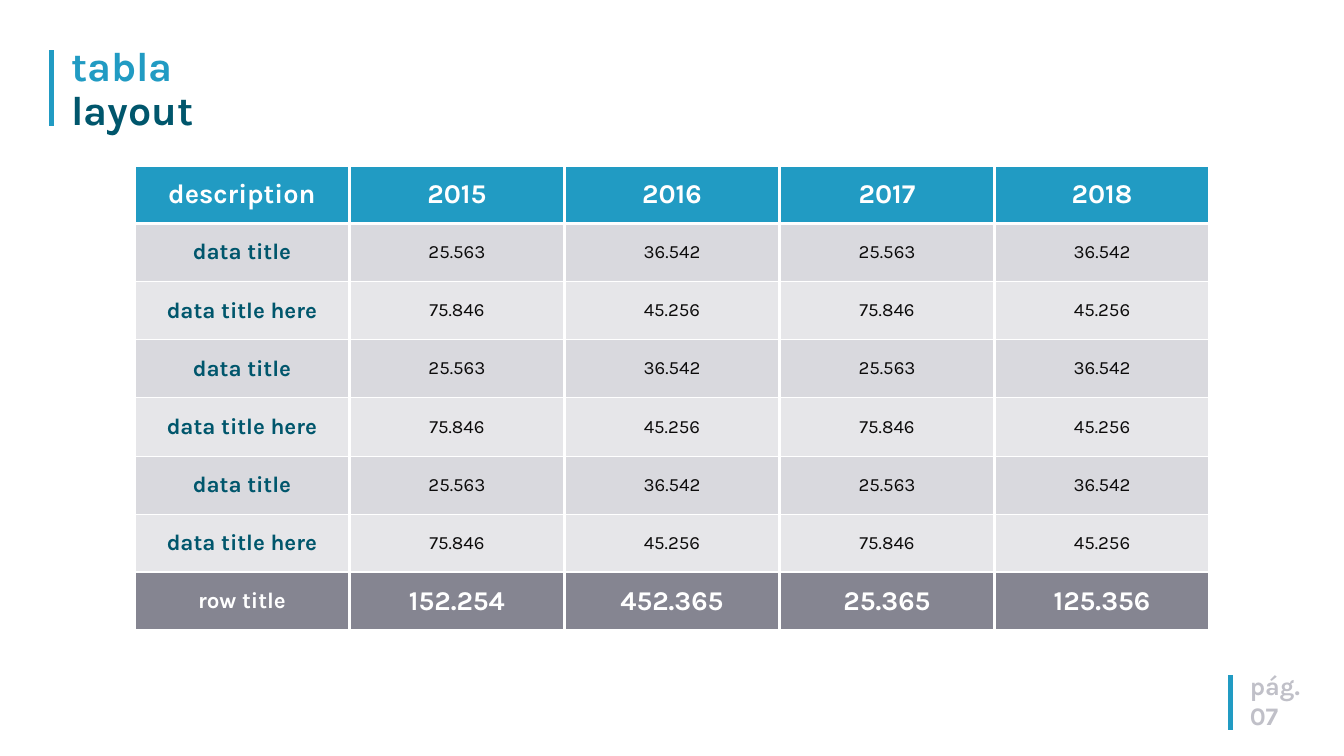
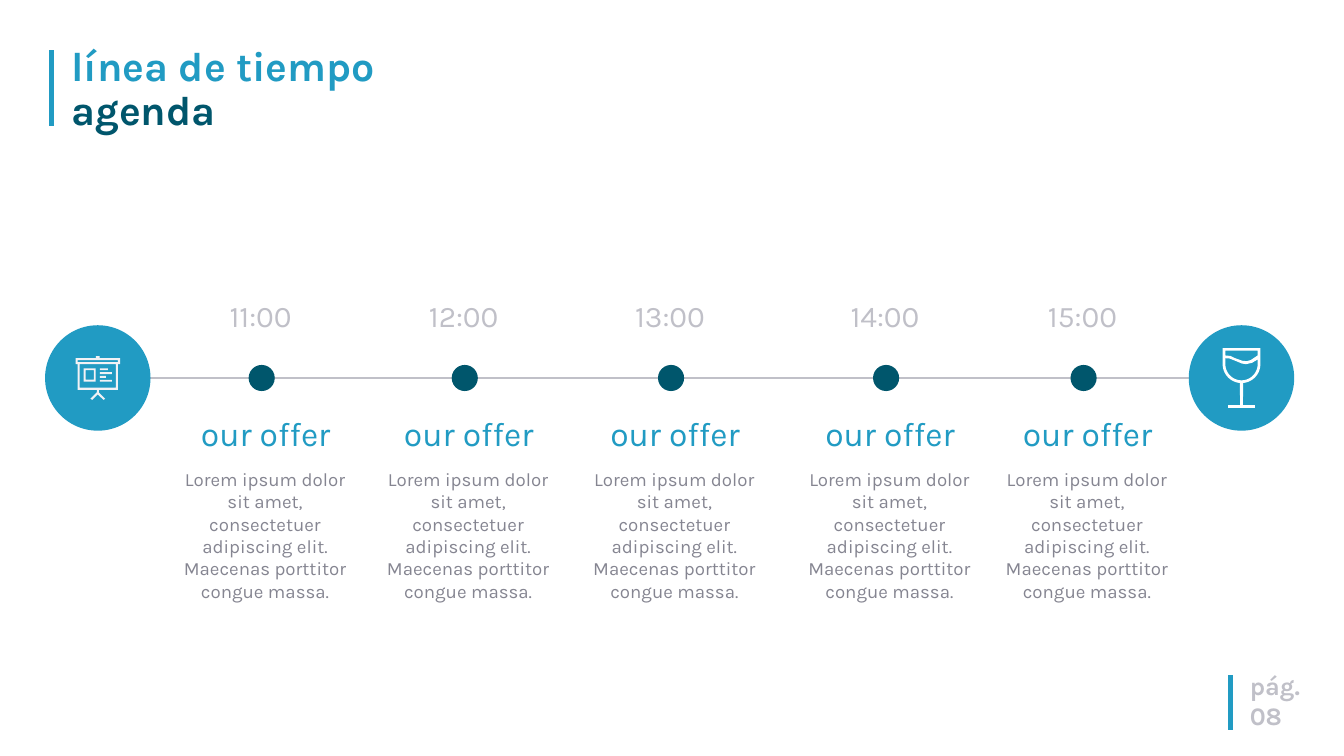
import math
from dataclasses import dataclass

import pptx
import pptx.dml.color
import pptx.enum.shapes
import pptx.enum.text
import pptx.oxml
import pptx.oxml.ns
import pptx.util

Pt = pptx.util.Pt
Color = pptx.dml.color.RGBColor.from_string
ALIGN = pptx.enum.text.PP_ALIGN
ANCHOR = pptx.enum.text.MSO_ANCHOR
OVAL = pptx.enum.shapes.MSO_SHAPE.OVAL
STRAIGHT = pptx.enum.shapes.MSO_CONNECTOR.STRAIGHT
NAMESPACE = pptx.oxml.ns.nsdecls("a")


@dataclass(frozen=True)
class Theme:
    font: str = "Karla"
    blue: str = "219BC3"
    navy: str = "00566C"
    silver: str = "C0C0C8"
    gray: str = "858591"
    band_dark: str = "D9D9DE"
    band_light: str = "E6E6E9"
    ink: str = "0C0B0B"
    white: str = "FFFFFF"
    pale: str = "F2F2F5"
    title: int = 44
    offer: int = 36
    hour: int = 32
    total: int = 29
    page: int = 27
    label: int = 24
    body: int = 20


theme = Theme()


def write(para, text, size, color, bold=False):
    span = para.add_run()
    span.text = text
    span.font.name = theme.font
    span.font.size = Pt(size)
    span.font.bold = bold
    span.font.color.rgb = Color(color)


def draw_icon(page, center_x, center_y, contours, color):
    """Blue disc with a glyph whose contours are measured from its centre."""
    radius = 56.5
    group = page.shapes.add_group_shape()
    disc = group.shapes.add_shape(OVAL, Pt(center_x - radius), Pt(center_y - radius),
                                  Pt(2 * radius), Pt(2 * radius))
    outlines = [[(Pt(center_x + x), Pt(center_y + y)) for x, y in contour]
                for contour in contours]
    builder = group.shapes.build_freeform(*outlines[0][0])
    builder.add_line_segments(outlines[0][1:])
    for outline in outlines[1:]:
        builder.move_to(*outline[0])
        builder.add_line_segments(outline[1:])
    glyph = builder.convert_to_shape()
    for shape, fill in ((disc, theme.blue), (glyph, color)):
        shape.shadow.inherit = False
        shape.fill.solid()
        shape.fill.fore_color.rgb = Color(fill)
        shape.line.fill.background()


deck = pptx.Presentation()
deck.slide_width, deck.slide_height = Pt(1440), Pt(810)

# Shared frame: accent bars, title and page number
headings = [("tabla", "layout", "07"), ("línea de tiempo", "agenda", "08")]
timeline_y = 405
for first_line, second_line, number in headings:
    page = deck.slides.add_slide(deck.slide_layouts[6])
    lines = [(1318.3, 723.6, 1318.3, 782, theme.blue, 5),
             (55.4, 54, 55.4, 135.4, theme.blue, 5)]
    if number == "08":
        lines.append((1308.2, timeline_y, 112.3, timeline_y, theme.silver, 2))
    for x1, y1, x2, y2, color, width in lines:
        bar = page.shapes.add_connector(STRAIGHT, Pt(x1), Pt(y1), Pt(x2), Pt(y2))
        bar.line.color.rgb = Color(color)
        bar.line.width = Pt(width)
        bar._element.spPr.append(pptx.oxml.parse_xml(f"<a:effectLst {NAMESPACE}/>"))

    box = page.shapes.add_textbox(Pt(69.1), Pt(44.6), Pt(429), Pt(104.4))
    box.text_frame.word_wrap = True
    box.text_frame.vertical_anchor = ANCHOR.MIDDLE
    para = box.text_frame.paragraphs[0]
    para.line_spacing = 0.9
    write(para, first_line, theme.title, theme.blue, True)
    para.add_line_break()
    write(para, second_line, theme.title, theme.navy, True)

    box = page.shapes.add_textbox(Pt(1332), Pt(714.2), Pt(136.8), Pt(72.7))
    box.text_frame.word_wrap = True
    write(box.text_frame.paragraphs[0], "pág.", theme.page, theme.silver, True)
    write(box.text_frame.add_paragraph(), number, theme.page, theme.silver, True)

table_page, timeline_page = deck.slides

# Table
odd_row = ["data title", "25.563", "36.542", "25.563", "36.542"]
even_row = ["data title here", "75.846", "45.256", "75.846", "45.256"]
rows = [["description", "2015", "2016", "2017", "2018"],
        *[odd_row, even_row] * 3,
        ["row title", "152.254", "452.365", "25.365", "125.356"]]
row_height, column_width = 62.28, 230.4
last = len(rows) - 1
frame = table_page.shapes.add_table(len(rows), 5, Pt(144), Pt(177.1),
                                    Pt(5 * column_width), Pt(len(rows) * row_height))
table = frame.table
table.first_row = table.horz_banding = False
for column in table.columns:
    column.width = Pt(column_width)
for r, values in enumerate(rows):
    table.rows[r].height = Pt(row_height)
    for c, value in enumerate(values):
        if r == 0:
            fill, size, color, bold = theme.blue, theme.total, theme.white, True
        elif r == last:
            fill, color, bold = theme.gray, theme.white, True
            size = theme.total if c else theme.label
        else:
            fill = theme.band_dark if r % 2 else theme.band_light
            size, color, bold = ((theme.body, theme.ink, False) if c
                                 else (theme.label, theme.navy, True))
        cell = table.cell(r, c)
        # Thin rules between data rows, thick ones elsewhere
        top = 1 if 1 < r < last else 3
        bottom = 1 if 0 < r < last - 1 else 3
        properties = cell._tc.get_or_add_tcPr()
        for tag, width in (("lnL", 3), ("lnR", 3), ("lnT", top), ("lnB", bottom)):
            properties.append(pptx.oxml.parse_xml(
                f'<a:{tag} {NAMESPACE} w="{Pt(width)}"><a:solidFill>'
                f'<a:srgbClr val="{theme.white}"/></a:solidFill></a:{tag}>'))
        cell.fill.solid()
        cell.fill.fore_color.rgb = Color(fill)
        cell.vertical_anchor = ANCHOR.MIDDLE
        para = cell.text_frame.paragraphs[0]
        para.alignment = ALIGN.CENTER
        write(para, value, size, color, bold)

# Presentation board icon: right half mirrored, then holes and text bars
board = [(2, -23.4), (2, -21.2), (23.8, -21.2), (23.8, -14.8), (21.6, -14.8),
         (21.6, 12.6), (1.1, 12.6), (1.1, 15.5), (7.9, 22.3), (6, 23.4), (0, 17.6)]
blocks = [(-19.4, -14.8, 19.4, 10.4), (-21.6, -19.1, 21.6, -16.9),
          (-15.1, -10.4, -2.2, 4), (-13, -8.3, -4.3, 1.8)]
for i, right in enumerate((10.8, 15.1, 8.6, 15.1)):
    bar_top = -10.4 + 4.1 * i
    blocks.append((2.2, bar_top, right, bar_top + 2.1))
board_contours = [board + [(-x, y) for x, y in reversed(board)]]
board_contours += [[(x1, y1), (x2, y1), (x2, y2), (x1, y2)] for x1, y1, x2, y2 in blocks]

# Wine glass icon: right half mirrored, then liquid and air
bowl_y = -14.8
arcs = {radius: [(radius * math.cos(math.radians(angle)),
                  bowl_y + radius * math.sin(math.radians(angle)))
                 for angle in range(0, end + 1, 5)]
        for radius, end in ((20.2, 85), (17.3, 180))}
glass = [(20.2, -32), *arcs[20.2], (1.5, 29.2), (14.4, 29.2), (14.4, 32)]
liquid = arcs[17.3] + [(-17.3, -21.2), (-13, -20.9), (-8.3, -19.1), (0.4, -15.5),
                       (4.7, -14.8), (11.2, -16.2), (17.3, -19.8)]
air = [(-17.3, -29.2), (17.3, -29.2), (17.3, -24.1), (9.7, -19.1), (5.5, -18),
       (1, -18.4), (-6.8, -21.2), (-11.9, -23.6), (-17.3, -24.1)]
glass_contours = [glass + [(-x, y) for x, y in reversed(glass)], liquid, air]

draw_icon(timeline_page, 1330.2, timeline_y, glass_contours, theme.white)
draw_icon(timeline_page, 104.8, timeline_y, board_contours, theme.pale)

# Agenda stops
dot = 28
blurb = ("Lorem ipsum dolor sit amet, consectetuer adipiscing elit. "
         "Maecenas porttitor congue massa.")
stops = [("11:00", 280.4), ("12:00", 498), ("13:00", 719), ("14:00", 949.4), ("15:00", 1161)]
for hour, center in stops:
    marker = timeline_page.shapes.add_shape(OVAL, Pt(center - dot / 2),
                                            Pt(timeline_y - dot / 2), Pt(dot), Pt(dot))
    marker.shadow.inherit = False
    marker.fill.solid()
    marker.fill.fore_color.rgb = Color(theme.navy)
    marker.line.fill.background()
    for text, shift, top, width, height, size, color in (
            ("our offer", 4.3, 439.2, 301.6, 51.1, theme.offer, theme.blue),
            (hour, -1.1, 315.4, 116, 46, theme.hour, theme.silver),
            (blurb, 3.6, 497.5, 206.6, 128.2, theme.body, theme.gray)):
        box = timeline_page.shapes.add_textbox(Pt(center + shift - width / 2), Pt(top),
                                               Pt(width), Pt(height))
        box.text_frame.word_wrap = True
        para = box.text_frame.paragraphs[0]
        para.alignment = ALIGN.CENTER
        write(para, text, size, color)

deck.save("out.pptx")
